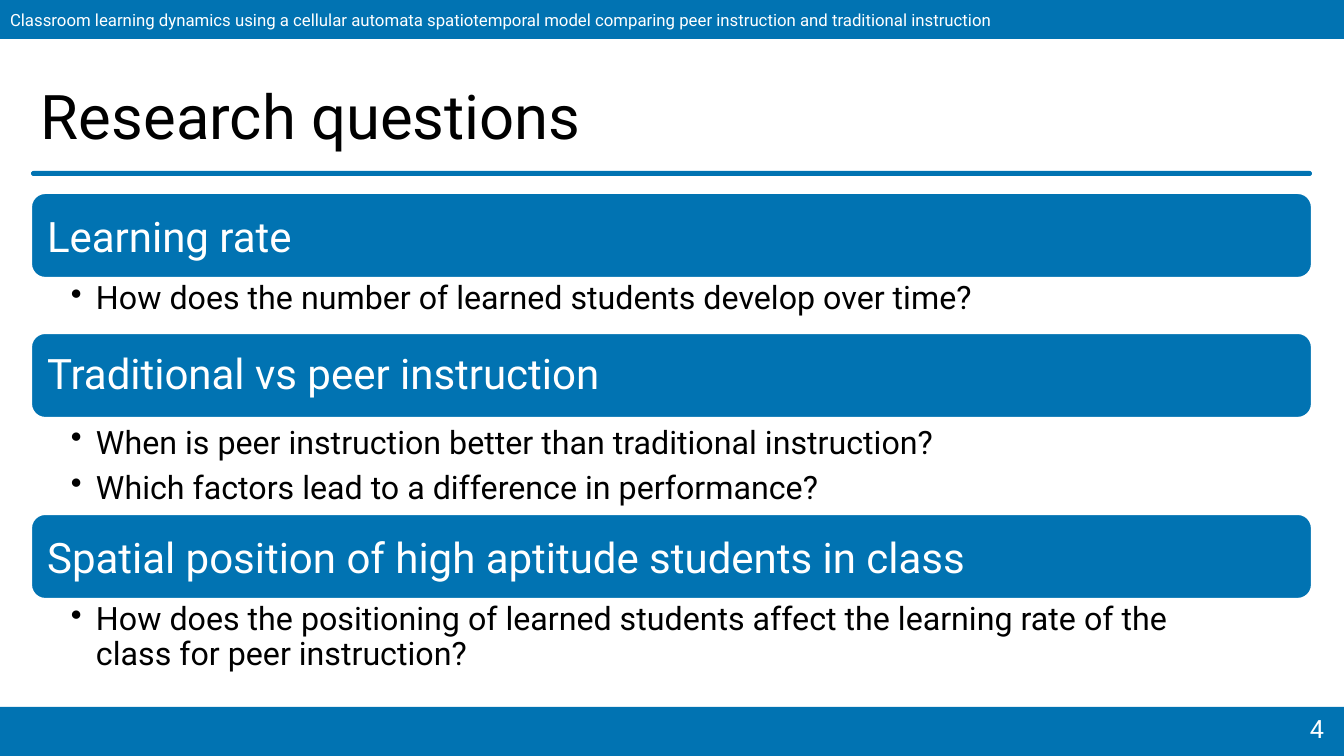
import pptx
import pptx.util
import pptx.dml.color
import pptx.enum.shapes
import pptx.enum.text
import lxml.etree

HEAD = ("Classroom learning dynamics using a cellular automata spatiotemporal "
        "model comparing peer instruction and traditional instruction")
TITLE = "Research questions"
PAGE = "4"
TOPICS = [
    ("Learning rate", 1, 55, 0.9,
     ["How does the number of learned students develop over time?"]),
    ("Traditional vs peer instruction", 0.9, 96, 1,
     ["When is peer instruction better than traditional instruction?",
      "Which factors lead to a difference in performance?"]),
    ("Spatial position of high aptitude students in class", 1, 81, 0.9,
     ["How does the positioning of learned students affect the learning rate of the\v"
      "class for peer instruction?"]),
]

BLUE = pptx.dml.color.RGBColor(0x01, 0x73, 0xB2)
WHITE = pptx.dml.color.RGBColor(0xFF, 0xFF, 0xFF)
BLACK = pptx.dml.color.RGBColor(0x00, 0x00, 0x00)
FONT = "Roboto"
WIDE, HIGH = 1344, 756
LEFT, SPAN = 31, 1281
TOP, BAR = 193, 85
INDENT = 25

KIND = pptx.enum.shapes.MSO_SHAPE
ALIGN = pptx.enum.text.PP_ALIGN
ANCHOR = pptx.enum.text.MSO_ANCHOR


def px(n):
    return round(n * 914400 / 100.8)


def block(slide, kind, *rect):
    shape = slide.shapes.add_shape(kind, *map(px, rect))
    shape.shadow.inherit = False
    shape.fill.solid()
    shape.fill.fore_color.rgb = BLUE
    shape.line.fill.background()
    return shape


def box(slide, *rect):
    return slide.shapes.add_textbox(*map(px, rect))


def write(shape, text, size, color, pad=(10, 5, 10, 5), mid=True,
          align=ALIGN.LEFT, lead=1, after=0):
    frame = shape.text_frame
    frame.text = text
    frame.word_wrap = True
    frame.vertical_anchor = ANCHOR.MIDDLE if mid else ANCHOR.TOP
    (frame.margin_left, frame.margin_top,
     frame.margin_right, frame.margin_bottom) = map(px, pad)
    for par in frame.paragraphs:
        par.alignment = align
        par.line_spacing = lead
        par.space_after = pptx.util.Pt(after)
        for run in par.runs:
            run.font.name = FONT
            run.font.size = pptx.util.Pt(size)
            run.font.color.rgb = color
    return frame.paragraphs


def bullet(par):
    par.level = 1
    props = par._p.get_or_add_pPr()
    props.set("marL", str(px(INDENT)))
    props.set("indent", str(-px(INDENT)))
    mark = lxml.etree.SubElement(props, pptx.oxml.ns.qn("a:buChar"))
    mark.set("char", "•")


def main():
    deck = pptx.Presentation()
    deck.slide_width, deck.slide_height = px(WIDE), px(HIGH)
    slide = deck.slides.add_slide(deck.slide_layouts[6])

    block(slide, KIND.RECTANGLE, 0, 707, WIDE, 49)
    write(block(slide, KIND.RECTANGLE, 0, 0, WIDE, 39), HEAD, 12, WHITE)
    rule = block(slide, KIND.ROUNDED_RECTANGLE, LEFT, 171, SPAN, 5)
    rule.adjustments[0] = 0.5
    write(box(slide, LEFT, 77, 1101, 86), TITLE, 44, BLACK, lead=0.9)
    write(box(slide, 1252, 712, 82, 39), PAGE, 18, WHITE, mid=False,
          align=ALIGN.RIGHT, lead=0.9, after=6)

    top = TOP
    for name, lead, room, gap, asks in TOPICS:
        bar = block(slide, KIND.ROUNDED_RECTANGLE, LEFT, top, SPAN, BAR)
        bar.line.color.rgb = WHITE
        bar.line.width = pptx.util.Pt(1.5)
        write(bar, name, 30, WHITE, (12, 12, 12, 12), lead=lead)
        top += BAR
        pars = write(box(slide, LEFT, top, SPAN, room), "\n".join(asks), 23,
                     BLACK, (40, 4, 23, 4), mid=False, lead=gap, after=5)
        for par in pars:
            bullet(par)
        top += room

    deck.save("out.pptx")


if __name__ == "__main__":
    main()
